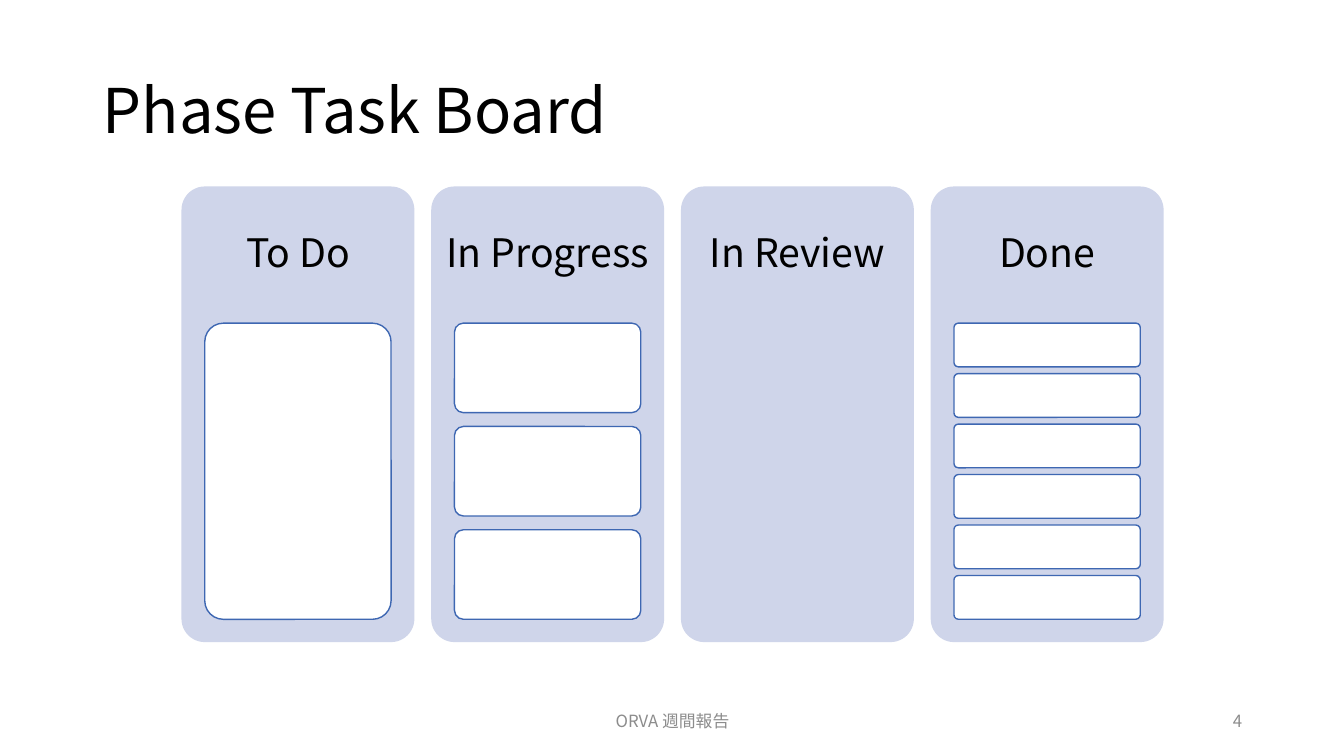
import dataclasses

import lxml.etree
import pptx
import pptx.dml.color
import pptx.enum.shapes
import pptx.enum.text
import pptx.oxml.ns
import pptx.util

COLORS = {
    "text": "000000",
    "muted": "8C8C8C",
    "column": "CFD5EA",
    "card": "FFFFFF",
    "outline": "3E67B2",
}
FONT = "Noto Sans CJK JP"
ALIGN = pptx.enum.text.PP_ALIGN
SLIDE_WIDTH, SLIDE_HEIGHT = 13.33, 7.5
BOARD_LEFT, BOARD_TOP, BOARD_HEIGHT = 1.8, 1.85, 4.52
COLUMN_WIDTH, COLUMN_PITCH = 2.31, 2.477
HEADER_HEIGHT = BOARD_HEIGHT * 0.3
CARD_WIDTH = COLUMN_WIDTH * 0.8
CARD_AREA_HEIGHT = BOARD_HEIGHT * 0.65
CARD_GAP_SHARE = 0.154
CORNER = 0.1


@dataclasses.dataclass(frozen=True)
class Box:
    left: float
    top: float
    width: float
    height: float

    def lengths(self) -> tuple:
        return tuple(pptx.util.Inches(value) for value in dataclasses.astuple(self))


@dataclasses.dataclass(frozen=True)
class Phase:
    name: str
    card_count: int


PHASES = [Phase("To Do", 1), Phase("In Progress", 3), Phase("In Review", 0), Phase("Done", 6)]


def rgb(name: str) -> pptx.dml.color.RGBColor:
    return pptx.dml.color.RGBColor.from_string(COLORS[name])


def write_text(shape, text: str, *, size: float, color: str = "text", align=ALIGN.CENTER,
               line_spacing: float = 1.0, side: float = 0.1, edge: float = 0.05) -> None:
    frame = shape.text_frame
    frame.word_wrap = True
    frame.auto_size = pptx.enum.text.MSO_AUTO_SIZE.NONE
    frame.vertical_anchor = pptx.enum.text.MSO_ANCHOR.MIDDLE
    frame.margin_left = frame.margin_right = pptx.util.Inches(side)
    frame.margin_top = frame.margin_bottom = pptx.util.Inches(edge)
    paragraph = frame.paragraphs[0]
    paragraph.alignment = align
    paragraph.line_spacing = line_spacing
    run = paragraph.add_run()
    run.text = text
    run.font.size = pptx.util.Pt(size)
    run.font.name = FONT
    run.font.color.rgb = rgb(color)
    east_asian = lxml.etree.SubElement(run.font._element, pptx.oxml.ns.qn("a:ea"))
    east_asian.set("typeface", FONT)


def add_panel(shapes, box: Box, fill: str, outline: str | None = None) -> None:
    shape = shapes.add_shape(pptx.enum.shapes.MSO_SHAPE.ROUNDED_RECTANGLE, *box.lengths())
    shape.adjustments[0] = CORNER
    shape.shadow.inherit = False
    shape.fill.solid()
    shape.fill.fore_color.rgb = rgb(fill)
    if outline:
        shape.line.color.rgb = rgb(outline)
        shape.line.width = pptx.util.Pt(1)
    else:
        shape.line.fill.background()


def add_phase(shapes, phase: Phase, left: float) -> None:
    add_panel(shapes, Box(left, BOARD_TOP, COLUMN_WIDTH, BOARD_HEIGHT), "column")
    header = shapes.add_textbox(*Box(left, BOARD_TOP, COLUMN_WIDTH, HEADER_HEIGHT).lengths())
    write_text(header, phase.name, size=28, line_spacing=0.9, side=0.12, edge=0.12)
    if not phase.card_count:
        return
    height = CARD_AREA_HEIGHT / (phase.card_count + (phase.card_count - 1) * CARD_GAP_SHARE)
    card_left = left + (COLUMN_WIDTH - CARD_WIDTH) / 2
    for row in range(phase.card_count):
        top = BOARD_TOP + HEADER_HEIGHT + row * height * (1 + CARD_GAP_SHARE)
        add_panel(shapes, Box(card_left, top, CARD_WIDTH, height), "card", "outline")


def build() -> None:
    presentation = pptx.Presentation()
    presentation.slide_width = pptx.util.Inches(SLIDE_WIDTH)
    presentation.slide_height = pptx.util.Inches(SLIDE_HEIGHT)
    slide = presentation.slides.add_slide(presentation.slide_layouts.get_by_name("Title Only"))

    title = slide.shapes.title
    title.left, title.top, title.width, title.height = Box(0.92, 0.4, 11.5, 1.45).lengths()
    write_text(title, "Phase Task Board", size=44, align=ALIGN.LEFT, line_spacing=0.9)

    board = slide.shapes.add_group_shape()
    for column, phase in enumerate(PHASES):
        add_phase(board.shapes, phase, BOARD_LEFT + column * COLUMN_PITCH)

    page_number = slide.shapes.add_textbox(*Box(9.42, 6.95, 3, 0.4).lengths())
    write_text(page_number, "4", size=12, color="muted", align=ALIGN.RIGHT)
    footer = slide.shapes.add_textbox(*Box(4.42, 6.95, 4.5, 0.4).lengths())
    write_text(footer, "ORVA 週間報告", size=12, color="muted")

    presentation.save("out.pptx")


build()
